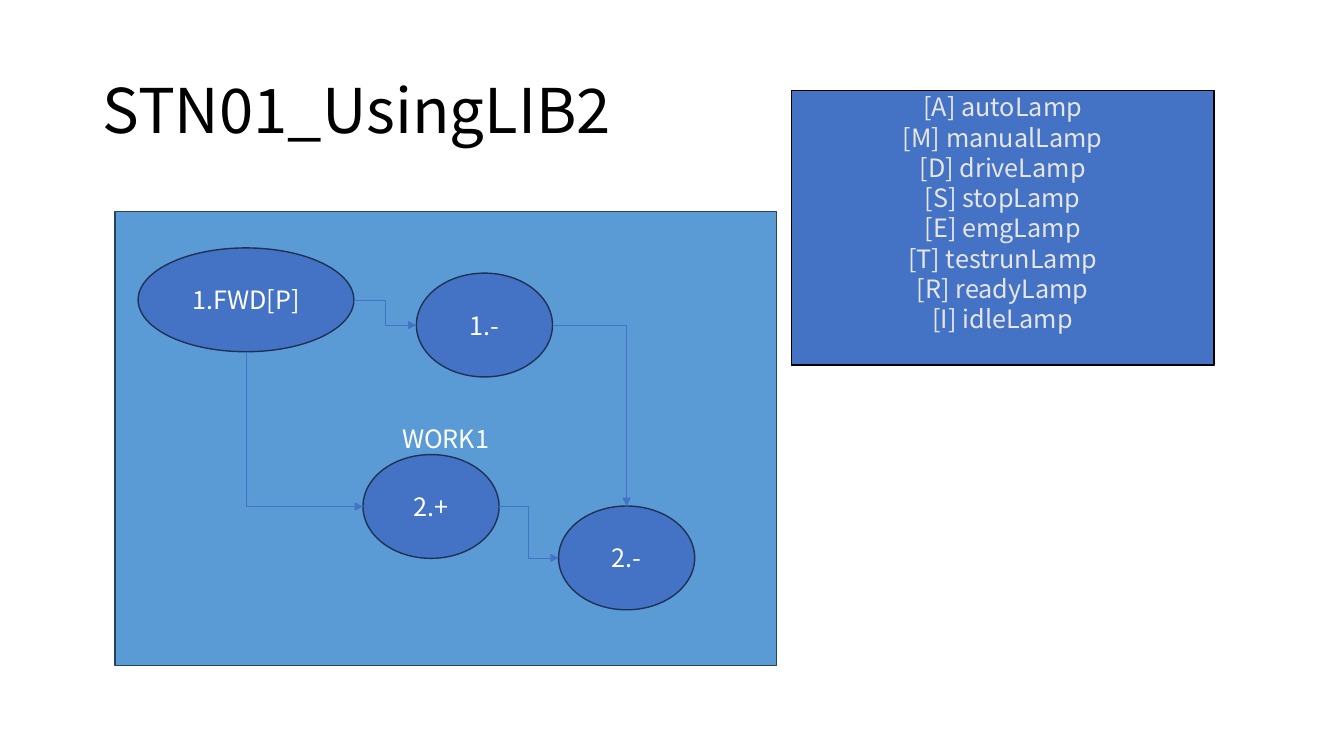
from dataclasses import dataclass

from lxml import etree
from pptx import Presentation
from pptx.dml.color import RGBColor
from pptx.enum.shapes import MSO_CONNECTOR, MSO_SHAPE
from pptx.enum.text import MSO_ANCHOR, PP_ALIGN
from pptx.oxml.ns import qn
from pptx.util import Inches, Pt

RECT, OVAL, BEVEL = MSO_SHAPE.RECTANGLE, MSO_SHAPE.OVAL, MSO_SHAPE.BEVEL
ELBOW = MSO_CONNECTOR.ELBOW
MIDDLE, TOP = MSO_ANCHOR.MIDDLE, MSO_ANCHOR.TOP
LEFT, CENTER = PP_ALIGN.LEFT, PP_ALIGN.CENTER

BLACK = RGBColor(0x00, 0x00, 0x00)
WHITE = RGBColor(0xFF, 0xFF, 0xFF)
GRAY = RGBColor(0xE7, 0xE6, 0xE6)
SKY = RGBColor(0x5B, 0x9B, 0xD5)
SLATE = RGBColor(0x28, 0x44, 0x5D)
BLUE = RGBColor(0x44, 0x72, 0xC4)
NAVY = RGBColor(0x1E, 0x32, 0x56)
FONT = "Noto Sans CJK KR"


@dataclass
class Box:
    text: str
    left: float
    top: float
    width: float
    height: float
    kind: int = OVAL
    fill: RGBColor = BLUE
    line: RGBColor = NAVY
    color: RGBColor = WHITE

    @property
    def mid_x(self) -> float:
        return self.left + self.width / 2

    @property
    def mid_y(self) -> float:
        return self.top + self.height / 2

    @property
    def right(self) -> float:
        return self.left + self.width

    @property
    def bottom(self) -> float:
        return self.top + self.height


@dataclass
class Link:
    start: tuple[float, float]
    end: tuple[float, float]
    bends: int = 2
    down: bool = False  # leaves downward, then turns right


def write(frame, text: str, size: float, color: RGBColor, align=CENTER) -> None:
    frame.word_wrap = True
    frame.vertical_anchor = MIDDLE
    frame.text = text
    for para in frame.paragraphs:
        para.alignment = align
        para.font.size = Pt(size)
        for run in para.runs:
            run.font.name = FONT
            run.font.size = Pt(size)
            run.font.color.rgb = color


def draw_box(shapes, box: Box):
    shape = shapes.add_shape(box.kind, Inches(box.left), Inches(box.top),
                             Inches(box.width), Inches(box.height))
    shape.shadow.inherit = False
    shape.fill.solid()
    shape.fill.fore_color.rgb = box.fill
    shape.line.color.rgb = box.line
    shape.line.width = Pt(1)
    write(shape.text_frame, box.text, 18, box.color)
    return shape


def draw_link(shapes, link: Link) -> None:
    (x1, y1), (x2, y2) = link.start, link.end
    if link.down:  # a turned connector keeps its centre and swaps its sides
        mid_x, mid_y = (x1 + x2) / 2, (y1 + y2) / 2
        half_w, half_h = (y2 - y1) / 2, (x2 - x1) / 2
        x1, x2 = mid_x - half_w, mid_x + half_w
        y1, y2 = mid_y - half_h, mid_y + half_h
    wire = shapes.add_connector(ELBOW, Inches(x1), Inches(y1), Inches(x2), Inches(y2))
    wire.line.color.rgb = BLUE
    wire.line.width = Pt(0.5)
    props = wire.element.spPr
    if link.down:
        frame = props.find(qn("a:xfrm"))
        frame.set("rot", str(270 * 60000))
        frame.set("flipH", "1")
    props.find(qn("a:prstGeom")).set("prst", f"bentConnector{link.bends + 1}")
    etree.SubElement(props.find(qn("a:ln")), qn("a:tailEnd"), type="triangle")
    etree.SubElement(props, qn("a:effectLst"))


def main() -> None:
    deck = Presentation()
    deck.slide_width, deck.slide_height = Inches(13.33), Inches(7.5)
    slide = deck.slides.add_slide(deck.slide_layouts[6])

    # Title
    title = slide.shapes.add_textbox(Inches(0.92), Inches(0.4), Inches(11.5), Inches(1.45))
    write(title.text_frame, "STN01_UsingLIB2", 44, BLACK, LEFT)
    title.text_frame.paragraphs[0].line_spacing = 0.9

    # Work flow
    work = Box("WORK1", 1.14, 2.1, 6.56, 4.5, RECT, SKY, SLATE)
    push = Box("1.FWD[P]", 1.37, 2.46, 2.14, 1.03)
    back1 = Box("1.-", 4.13, 2.71, 1.35, 1.03)
    ahead = Box("2.+", 3.6, 4.51, 1.35, 1.03)
    back2 = Box("2.-", 5.54, 5.02, 1.35, 1.03)
    links = [
        Link((push.right, push.mid_y), (back1.left, back1.mid_y)),
        Link((push.mid_x, push.bottom), (ahead.left, ahead.mid_y), 1, True),
        Link((back1.right, back1.mid_y), (back2.mid_x, back2.top), 1),
        Link((ahead.right, ahead.mid_y), (back2.left, back2.mid_y)),
    ]
    group = slide.shapes.add_group_shape()
    for box in (work, push, back1, ahead, back2):
        draw_box(group.shapes, box)
    for link in links:
        draw_link(group.shapes, link)

    # Lamp list
    lamps = ["auto", "manual", "drive", "stop", "emg", "testrun", "ready", "idle"]
    text = "\n".join(f"[{lamp[0].upper()}] {lamp}Lamp" for lamp in lamps)
    panel = draw_box(slide.shapes, Box(text, 7.85, 0.9, 4.19, 2.72, BEVEL, BLUE, BLACK, GRAY))
    panel.adjustments[0] = 0
    panel.text_frame.vertical_anchor = TOP
    panel.text_frame.margin_top = Inches(0.01)
    for para in panel.text_frame.paragraphs:
        para.line_spacing = Pt(21.6)

    deck.save("out.pptx")


if __name__ == "__main__":
    main()
